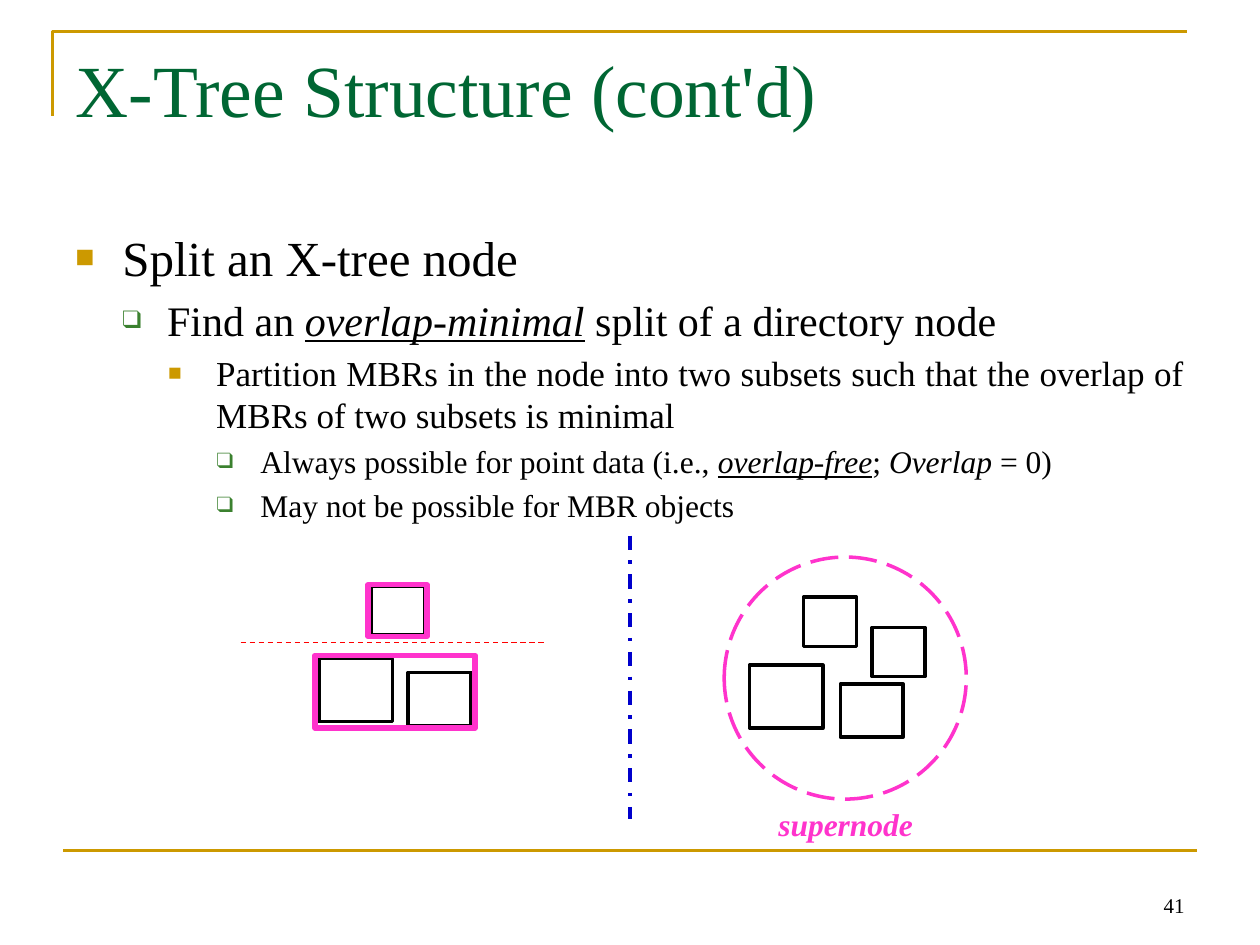
from lxml import etree
from pptx import Presentation
from pptx.dml.color import RGBColor
from pptx.enum.dml import MSO_LINE
from pptx.enum.shapes import MSO_CONNECTOR, MSO_SHAPE
from pptx.enum.text import MSO_ANCHOR, PP_ALIGN
from pptx.oxml.ns import qn
from pptx.util import Cm, Pt

RECT, OVAL = MSO_SHAPE.RECTANGLE, MSO_SHAPE.OVAL
STRAIGHT = MSO_CONNECTOR.STRAIGHT
DASH, DASH_DOT, LONG_DASH = MSO_LINE.DASH, MSO_LINE.DASH_DOT, MSO_LINE.LONG_DASH
LEFT, RIGHT, JUSTIFY = PP_ALIGN.LEFT, PP_ALIGN.RIGHT, PP_ALIGN.JUSTIFY
TOP, BOTTOM = MSO_ANCHOR.TOP, MSO_ANCHOR.BOTTOM
FONT = "Times New Roman"

GOLD = RGBColor(0xCC, 0x99, 0x00)
DARK_GREEN = RGBColor(0x00, 0x66, 0x33)
LEAF_GREEN = RGBColor(0x3B, 0x81, 0x2F)
BLACK = RGBColor(0x00, 0x00, 0x00)
RED = RGBColor(0xFF, 0x00, 0x00)
BLUE = RGBColor(0x00, 0x00, 0xCC)
PINK = RGBColor(0xFF, 0x33, 0xCC)


def add_text(paragraph, text, size, color=BLACK, bold=False, italic=False, underline=False):
    run = paragraph.add_run()
    run.text = text
    font = run.font
    font.name, font.size, font.color.rgb = FONT, Pt(size), color
    font.bold, font.italic, font.underline = bold, italic, underline


def style_line(line, color, width, dash=None):
    line.color.rgb = color
    line.width = Pt(width)
    if dash:
        line.dash_style = dash


prs = Presentation()
prs.slide_width, prs.slide_height = Cm(25.4), Cm(19.05)
slide = prs.slides.add_slide(prs.slide_layouts[5])
shapes = slide.shapes

corner_builder = shapes.build_freeform(Cm(1.06), Cm(2.33))
corner_builder.add_line_segments([(Cm(1.06), Cm(0.63)), (Cm(23.92), Cm(0.63))], close=False)
corner = corner_builder.convert_to_shape()
corner.fill.background()
corner.shadow.inherit = False
style_line(corner.line, GOLD, 1.5)

title = shapes.title
title.left, title.top, title.width, title.height = Cm(1.27), Cm(0.76), Cm(22.86), Cm(3.18)
title.text_frame.vertical_anchor = TOP
title.text_frame.margin_top = Cm(0.13)
heading = title.text_frame.paragraphs[0]
heading.alignment = LEFT
add_text(heading, "X-Tree Structure (cont'd)", 42, DARK_GREEN)

EMPHASIS = {"italic": True, "underline": True}
outline = [
    (0, [("Split an X-tree node", {})]),
    (1, [("Find an ", {}), ("overlap-minimal", EMPHASIS), (" split of a directory node", {})]),
    (2, [("Partition MBRs in the node into two subsets such that the overlap of "
          "MBRs of two subsets is minimal", {})]),
    (3, [("Always possible for point data (i.e., ", {}), ("overlap-free", EMPHASIS),
         ("; ", {}), ("Overlap", {"italic": True}), (" = 0)", {})]),
    (3, [("May not be possible for MBR objects", {})]),
]
levels = [
    (28, 0.95, 0.95, "■", GOLD, 65),
    (24, 1.85, 0.9, "❑", LEAF_GREEN, 60),
    (20, 2.84, 0.97, "■", GOLD, 65),
    (18, 3.73, 0.88, "❑", LEAF_GREEN, 70),
]
body = shapes.add_textbox(Cm(1.27), Cm(4.45), Cm(22.86), Cm(12.57)).text_frame
body.word_wrap = True
body.margin_top = Cm(0.13)
for index, (level, pieces) in enumerate(outline):
    size, indent, hang, bullet, bullet_color, bullet_percent = levels[level]
    point = body.add_paragraph() if index else body.paragraphs[0]
    point.level = level
    point.alignment = JUSTIFY
    point.line_spacing = 1.0
    point.space_before = Pt(size * 0.2 if index else 0)
    properties = point._p.get_or_add_pPr()
    properties.set("marL", str(Cm(indent)))
    properties.set("indent", str(-Cm(hang)))
    bullet_fill = etree.SubElement(properties, qn("a:buClr"))
    etree.SubElement(bullet_fill, qn("a:srgbClr"), val=str(bullet_color))
    etree.SubElement(properties, qn("a:buSzPct"), val=str(bullet_percent * 1000))
    etree.SubElement(properties, qn("a:buFont"), typeface=FONT)
    etree.SubElement(properties, qn("a:buChar"), char=bullet)
    for words, style in pieces:
        add_text(point, words, size, **style)

LARGE, MEDIUM, SMALL = (1.48, 1.27), (1.27, 1.07), (1.07, 0.99)
outlines = [
    (RECT, 6.43, 13.28, LARGE, BLACK, 2, None),
    (RECT, 8.23, 13.56, MEDIUM, BLACK, 2, None),
    (RECT, 7.49, 11.81, SMALL, BLACK, 2, None),
    (RECT, 15.11, 13.41, LARGE, BLACK, 2, None),
    (RECT, 16.94, 13.79, MEDIUM, BLACK, 2, None),
    (RECT, 16.2, 12.04, SMALL, BLACK, 2, None),
    (RECT, 17.58, 12.65, SMALL, BLACK, 2, None),
    (RECT, 6.35, 13.21, (3.23, 1.47), PINK, 3, None),
    (RECT, 7.42, 11.79, (1.19, 1.04), PINK, 3, None),
    (OVAL, 14.6, 11.23, (4.88, 4.88), PINK, 2, LONG_DASH),
]
for kind, left, top, (width, height), color, weight, dash in outlines:
    region = shapes.add_shape(kind, Cm(left), Cm(top), Cm(width), Cm(height))
    region.fill.background()
    region.shadow.inherit = False
    style_line(region.line, color, weight, dash)

rules = [
    (1.27, 17.15, 24.13, 17.15, GOLD, 1.5, None),
    (4.85, 12.95, 11.0, 12.95, RED, 0.75, DASH),
    (12.7, 10.8, 12.7, 16.51, BLUE, 2, DASH_DOT),
]
for x1, y1, x2, y2, color, weight, dash in rules:
    rule = shapes.add_connector(STRAIGHT, Cm(x1), Cm(y1), Cm(x2), Cm(y2))
    style_line(rule.line, color, weight, dash)
    etree.SubElement(rule._element.spPr, qn("a:effectLst"))

supernode = shapes.add_textbox(Cm(15.44), Cm(16.1), Cm(3.35), Cm(1.02)).text_frame
add_text(supernode.paragraphs[0], "supernode", 18, PINK, bold=True, italic=True)

page = shapes.add_textbox(Cm(18.21), Cm(17.35), Cm(5.92), Cm(1.27)).text_frame
page.word_wrap = True
page.vertical_anchor = BOTTOM
page.paragraphs[0].alignment = RIGHT
add_text(page.paragraphs[0], "41", 12)

prs.save("out.pptx")
